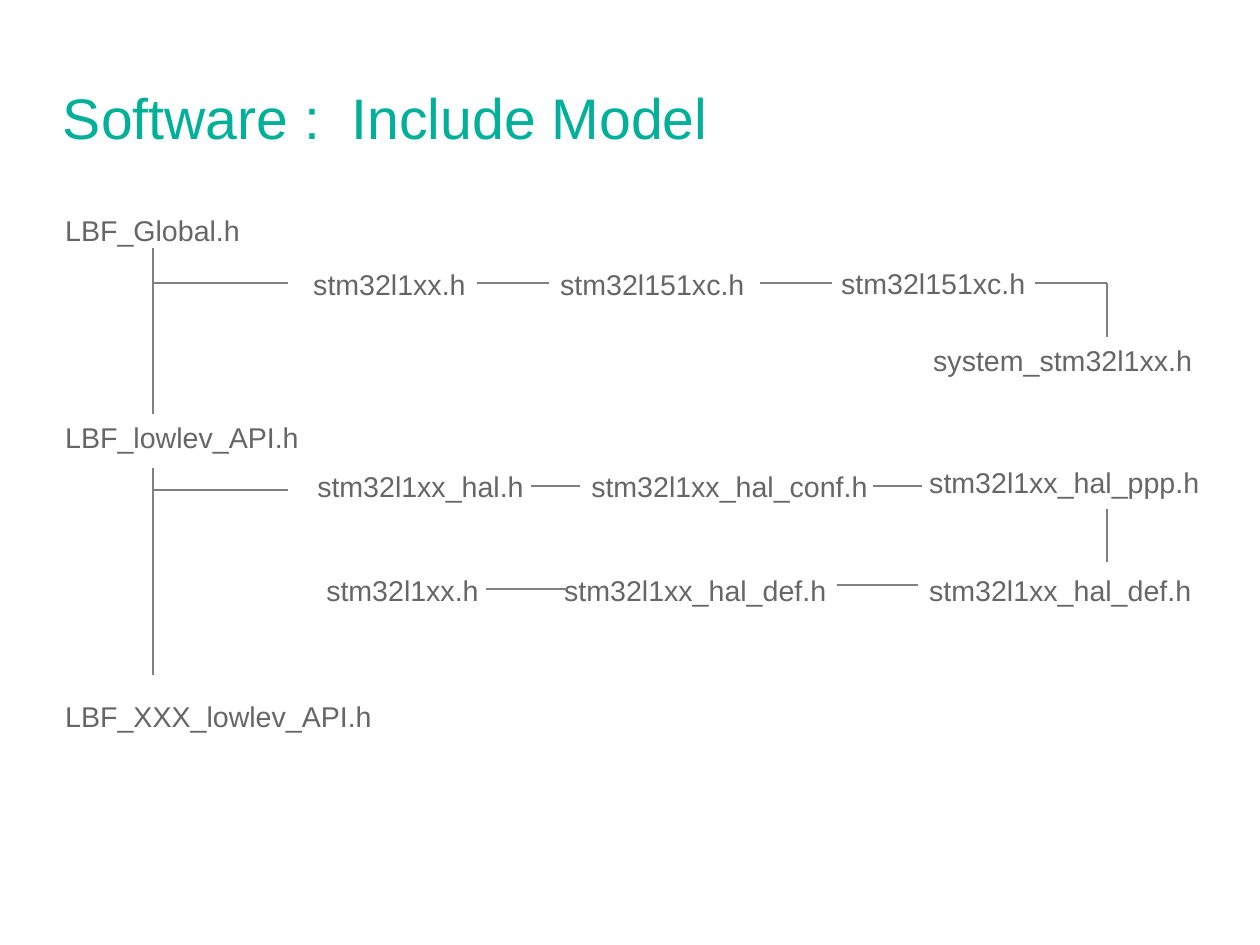
from dataclasses import dataclass

from lxml.etree import SubElement
from pptx import Presentation
from pptx.dml.color import RGBColor
from pptx.enum.shapes import MSO_CONNECTOR
from pptx.enum.text import MSO_ANCHOR, MSO_AUTO_SIZE, PP_ALIGN
from pptx.oxml.ns import qn
from pptx.slide import Slide
from pptx.text.text import TextFrame
from pptx.util import Emu, Pt

EMU_PER_PX = 8000
SLIDE_WIDTH, SLIDE_HEIGHT = 1260, 945
LABEL_HEIGHT = 45
TEAL, TEXT_GREY, LINE_GREY = "00B099", "666666", "808080"

TITLE_PLACE = {"left": 63, "top": 38, "width": 1134, "height": 158}
TITLE_FRAME = {
    "margin_left": 0, "margin_right": 0, "margin_top": 0, "margin_bottom": 0,
    "vertical_anchor": MSO_ANCHOR.MIDDLE, "word_wrap": True,
    "auto_size": MSO_AUTO_SIZE.NONE,
}
TITLE_FONT = {"name": "Arial", "size": Pt(36)}
HEADER_FONT = {"name": "Arial", "size": Pt(18)}


@dataclass(frozen=True)
class HeaderFile:
    name: str
    left: int
    top: int
    width: int
    wraps: bool = False


@dataclass(frozen=True)
class IncludeLine:
    x1: int
    y1: int
    x2: int
    y2: int


TRUNK_X, BRANCH_END_X, RIGHT_X = 153, 288, 1107
LEFT_COLUMN, RIGHT_COLUMN = 54, 918
GLOBAL_ROW, HAL_ROW, DEF_ROW = 261, 463, 567
GLOBAL_LINE_Y, HAL_LINE_Y = 283, 486

HEADER_FILES = [
    HeaderFile("LBF_Global.h", LEFT_COLUMN, 207, 198),
    HeaderFile("stm32l1xx.h", 302, GLOBAL_ROW, 177),
    HeaderFile("stm32l151xc.h", 549, GLOBAL_ROW, 208),
    HeaderFile("stm32l151xc.h", 830, 260, 208),
    HeaderFile("system_stm32l1xx.h", 922, 337, 297, wraps=True),
    HeaderFile("LBF_lowlev_API.h", LEFT_COLUMN, 414, 257),
    HeaderFile("stm32l1xx_hal.h", 306, HAL_ROW, 231),
    HeaderFile("stm32l1xx_hal_conf.h", 580, HAL_ROW, 301),
    HeaderFile("stm32l1xx_hal_ppp.h", RIGHT_COLUMN, 459, 294),
    HeaderFile("stm32l1xx_hal_def.h", RIGHT_COLUMN, DEF_ROW, 286),
    HeaderFile("stm32l1xx_hal_def.h", 553, DEF_ROW, 286),
    HeaderFile("stm32l1xx.h", 315, DEF_ROW, 177),
    HeaderFile("LBF_XXX_lowlev_API.h", LEFT_COLUMN, 693, 330),
]

INCLUDE_LINES = [
    IncludeLine(TRUNK_X, 248, TRUNK_X, 414),
    IncludeLine(TRUNK_X, 468, TRUNK_X, 675),
    IncludeLine(TRUNK_X, GLOBAL_LINE_Y, BRANCH_END_X, GLOBAL_LINE_Y),
    IncludeLine(477, GLOBAL_LINE_Y, 549, GLOBAL_LINE_Y),
    IncludeLine(760, GLOBAL_LINE_Y, 832, GLOBAL_LINE_Y),
    IncludeLine(1035, GLOBAL_LINE_Y, RIGHT_X, GLOBAL_LINE_Y),
    IncludeLine(RIGHT_X, GLOBAL_LINE_Y, RIGHT_X, 337),
    IncludeLine(TRUNK_X, 490, BRANCH_END_X, 490),
    IncludeLine(531, HAL_LINE_Y, 580, HAL_LINE_Y),
    IncludeLine(873, HAL_LINE_Y, 922, HAL_LINE_Y),
    IncludeLine(RIGHT_X, 509, RIGHT_X, 562),
    IncludeLine(837, 585, 918, 585),
    IncludeLine(486, 589, 567, 589),
]


def px(length: int) -> Emu:
    return Emu(length * EMU_PER_PX)


def rgb(hex_colour: str) -> RGBColor:
    return RGBColor.from_string(hex_colour)


def apply_format(target: object, values: dict) -> None:
    for attribute, value in values.items():
        setattr(target, attribute, value)


def write_text(frame: TextFrame, text: str, font: dict, colour: str) -> None:
    paragraph = frame.paragraphs[0]
    paragraph.alignment = PP_ALIGN.LEFT
    run = paragraph.add_run()
    run.text = text
    apply_format(run.font, font)
    run.font.color.rgb = rgb(colour)


def add_title(slide: Slide, text: str) -> None:
    title = slide.shapes.title
    apply_format(title, {side: px(length) for side, length in TITLE_PLACE.items()})
    apply_format(title.text_frame, TITLE_FRAME)
    write_text(title.text_frame, text, TITLE_FONT, TEAL)


def add_header_file(slide: Slide, header: HeaderFile) -> None:
    label = slide.shapes.add_textbox(
        px(header.left), px(header.top), px(header.width), px(LABEL_HEIGHT))
    apply_format(label.text_frame, {
        "word_wrap": header.wraps,
        "auto_size": MSO_AUTO_SIZE.SHAPE_TO_FIT_TEXT,
    })
    write_text(label.text_frame, header.name, HEADER_FONT, TEXT_GREY)


def add_include_line(slide: Slide, line: IncludeLine) -> None:
    connector = slide.shapes.add_connector(
        MSO_CONNECTOR.STRAIGHT,
        px(line.x1), px(line.y1), px(line.x2), px(line.y2))
    connector.line.color.rgb = rgb(LINE_GREY)
    connector.line.width = Pt(1.45)
    SubElement(connector._element.spPr, qn("a:effectLst"))


def main() -> None:
    presentation = Presentation()
    presentation.slide_width = px(SLIDE_WIDTH)
    presentation.slide_height = px(SLIDE_HEIGHT)
    slide = presentation.slides.add_slide(presentation.slide_layouts[5])
    add_title(slide, "Software :  Include Model")
    for header in HEADER_FILES:
        add_header_file(slide, header)
    for line in INCLUDE_LINES:
        add_include_line(slide, line)
    presentation.save("out.pptx")


if __name__ == "__main__":
    main()
